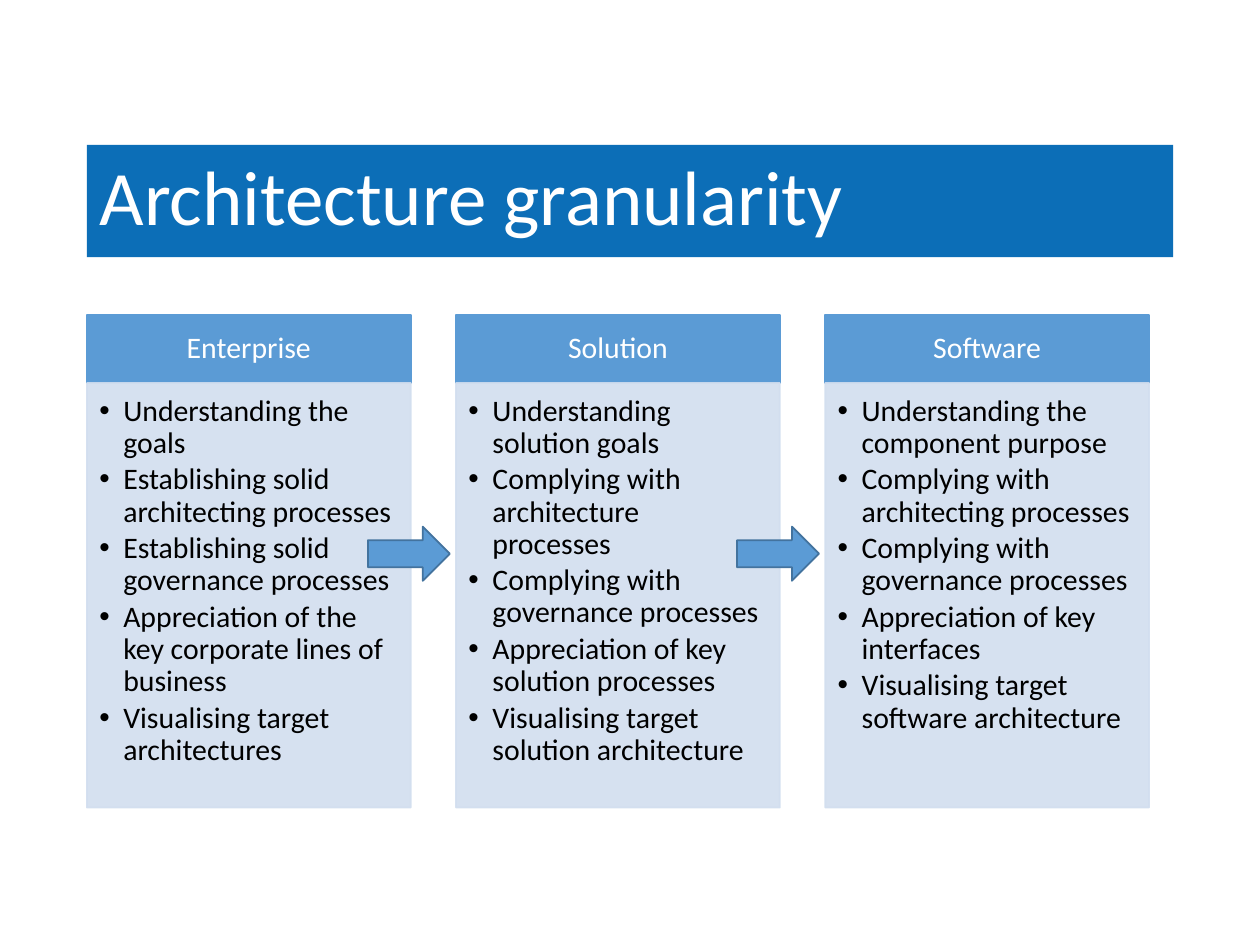
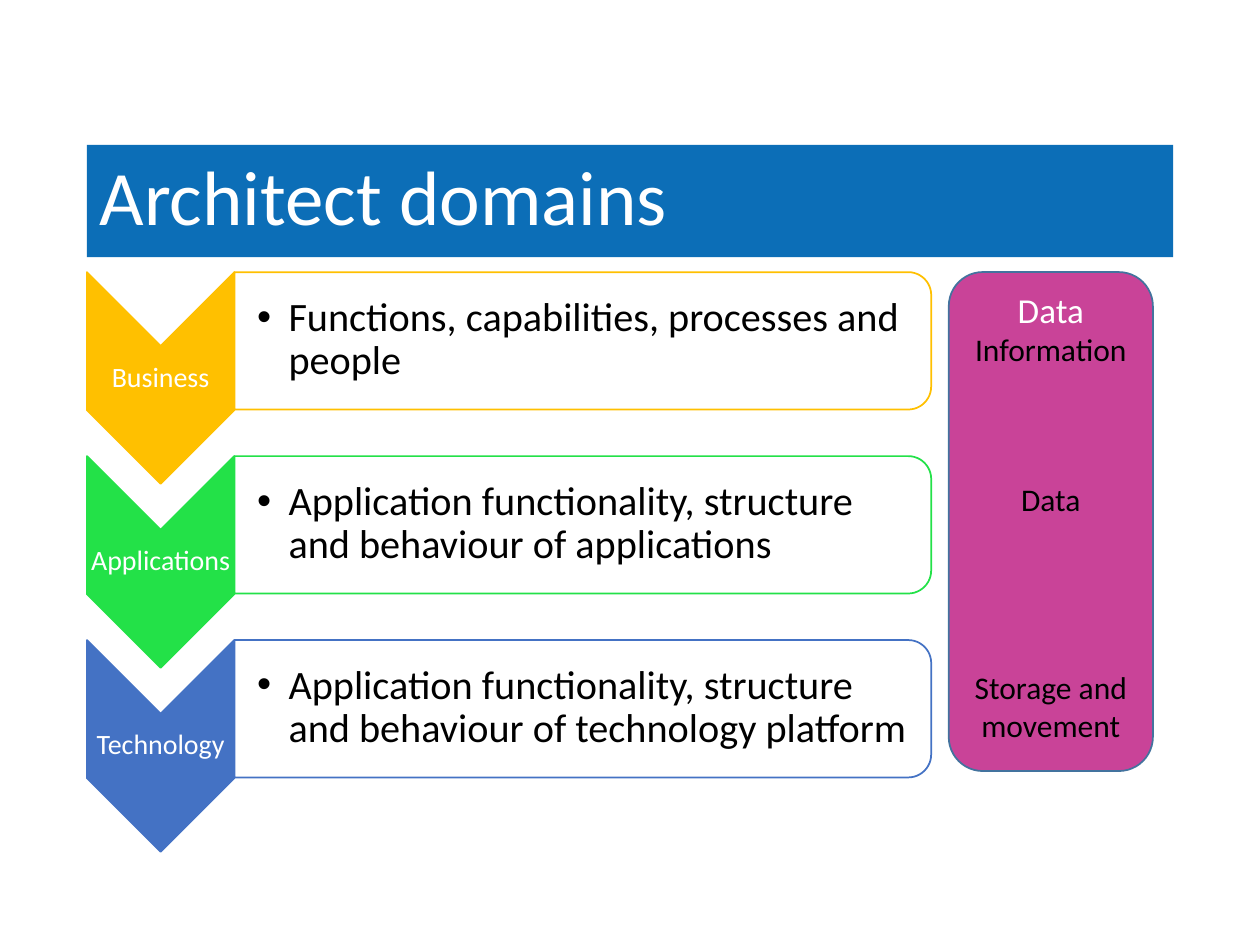
from pptx import Presentation
from pptx import util as u
from pptx.dml.color import RGBColor
from pptx.enum import shapes, text
from pptx.oxml.ns import qn
from lxml import etree

HUES = {
    "band": "0C6EB7", "blue": "5B9BD5", "pale": "D2DEEF", "edge": "43739E",
    "gold": "FFC000", "green": "23E148", "navy": "4472C4", "pink": "C94398",
    "white": "FFFFFF", "black": "000000",
}
FACE = "Calibri"
COLS, ROWS = 100, 75
LEFT = 6.9
KIND = shapes.MSO_SHAPE
MID = text.MSO_ANCHOR.MIDDLE
TOP = text.MSO_ANCHOR.TOP
PAD = (0.1, 0.05, 0.1, 0.05)


def hue(name):
    return RGBColor.from_string(HUES[name])


class Deck:
    def __init__(self):
        self.prs = Presentation()
        self.prs.slide_width = u.Inches(10)
        self.prs.slide_height = u.Inches(7.5)
        self.slide = None

    def box(self, x, y, w, h):
        col = self.prs.slide_width / COLS
        row = self.prs.slide_height / ROWS
        return [round(v) for v in (x * col, y * row, w * col, h * row)]

    def page(self, title):
        self.slide = self.prs.slides.add_slide(self.prs.slide_layouts[5])
        head = self.slide.shapes.title
        head.left, head.top, head.width, head.height = self.box(LEFT, 11.5, 86.2, 8.9)
        head.fill.solid()
        head.fill.fore_color.rgb = hue("band")
        self.words(head, [title], 44, "white", lead=0.9)

    def shape(self, kind, area, fill, line=None, turn=False, alpha=None):
        x, y, w, h = self.box(*area)
        if turn:
            x, y, w, h = x + (w - h) // 2, y + (h - w) // 2, h, w
        item = self.slide.shapes.add_shape(kind, x, y, w, h)
        item.rotation = 90 if turn else 0
        item.shadow.inherit = False
        item.fill.solid()
        item.fill.fore_color.rgb = hue(fill)
        item.line.color.rgb = hue(line or fill)
        item.line.width = u.Pt(1)
        if alpha:
            for tint in list(item._element.spPr.iter(qn("a:srgbClr"))):
                etree.SubElement(tint, qn("a:alpha"), val=str(alpha * 1000))
        return item

    def label(self, area):
        return self.slide.shapes.add_textbox(*self.box(*area))

    def words(self, item, lines, size, tint, center=False, lead=None,
              anchor=MID, pad=PAD, after=0, dent=0):
        frame = item.text_frame
        frame.word_wrap = True
        frame.auto_size = text.MSO_AUTO_SIZE.NONE
        frame.vertical_anchor = anchor
        (frame.margin_left, frame.margin_top,
         frame.margin_right, frame.margin_bottom) = map(u.Inches, pad)
        frame.text = "\n".join(lines)
        for para in frame.paragraphs:
            para.alignment = text.PP_ALIGN.CENTER if center else text.PP_ALIGN.LEFT
            para.line_spacing = lead
            para.space_after = u.Pt(after)
            para.font.name = FACE
            para.font.size = u.Pt(size)
            para.font.color.rgb = hue(tint)
            if dent:
                self.dot(para, dent)
        return frame.paragraphs

    def dot(self, para, dent):
        props = para._p.get_or_add_pPr()
        props.set("marL", str(u.Inches(dent)))
        props.set("indent", str(-u.Inches(dent)))
        font = etree.Element(qn("a:buFont"), typeface="Arial")
        mark = etree.Element(qn("a:buChar"), char="•")
        base = props.find(qn("a:defRPr"))
        base.addprevious(font)
        base.addprevious(mark)

    def points(self, item, lines, size, dent, **style):
        self.words(item, lines, size, "black", lead=0.9, after=2.5, dent=dent, **style)


def levels(deck):
    deck.page("Architecture granularity")
    cards = {
        "Enterprise": [
            "Understanding the goals",
            "Establishing solid architecting processes",
            "Establishing solid governance processes",
            "Appreciation of the key corporate lines of business",
            "Visualising target architectures",
        ],
        "Solution": [
            "Understanding solution goals",
            "Complying with architecture processes",
            "Complying with governance processes",
            "Appreciation of key solution processes",
            "Visualising target solution architecture",
        ],
        "Software": [
            "Understanding the component purpose",
            "Complying with architecting processes",
            "Complying with governance processes",
            "Appreciation of key interfaces",
            "Visualising target software architecture",
        ],
    }
    step, wide = 29.3, 25.7
    for n, (name, goals) in enumerate(cards.items()):
        x = LEFT + n * step
        head = deck.shape(KIND.RECTANGLE, (x, 25, wide, 5.4), "blue")
        deck.words(head, [name], 17, "white", center=True, lead=0.9)
        body = deck.shape(KIND.RECTANGLE, (x, 30.4, wide, 33.7), "pale", alpha=90)
        deck.points(body, goals, 17, 0.19, anchor=TOP, pad=(0.1, 0.1, 0.13, 0.15))
    for n in range(len(cards) - 1):
        area = (29.2 + n * step, 41.8, 6.5, 4.3)
        deck.shape(KIND.RIGHT_ARROW, area, "blue", "edge")


def domains(deck):
    deck.page("Architect domains")
    bands = [
        ("Business", "gold", "Functions, capabilities, processes and people"),
        ("Applications", "green",
         "Application functionality, structure and behaviour of applications"),
        ("Technology", "navy",
         "Application functionality, structure and behaviour of technology platform"),
    ]
    top, step, wide = 21.6, 14.6, 11.7
    for n, (name, tint, note) in enumerate(bands):
        y = top + n * step
        x = LEFT + wide
        deck.shape(KIND.CHEVRON, (LEFT, y, wide, 16.8), tint, turn=True)
        deck.words(deck.label((LEFT, y + 5.9, wide, 5)), [name], 16, "white",
                   center=True, lead=0.9, pad=(0.01,) * 4)
        deck.shape(KIND.ROUND_2_SAME_RECTANGLE, (x, y, 55.3, 10.9),
                   "white", tint, turn=True)
        deck.points(deck.label((x, y + 0.5, 54.8, 9.8)), [note], 23, 0.25,
                    pad=(0.18, 0.02, 0.02, 0.02))
    pane = deck.shape(KIND.ROUNDED_RECTANGLE, (75.3, top, 16.2, 39.6), "pink", "edge")
    lines = ["Data", "Information", "Data", "Storage and movement"]
    paras = deck.words(pane, lines, 18, "black", center=True, anchor=TOP)
    paras[0].font.size = u.Pt(20)
    paras[0].font.color.rgb = hue("white")
    paras[2].space_before = u.Pt(64)
    paras[3].space_before = u.Pt(86)


def main():
    deck = Deck()
    levels(deck)
    domains(deck)
    deck.prs.save("out.pptx")


if __name__ == "__main__":
    main()
